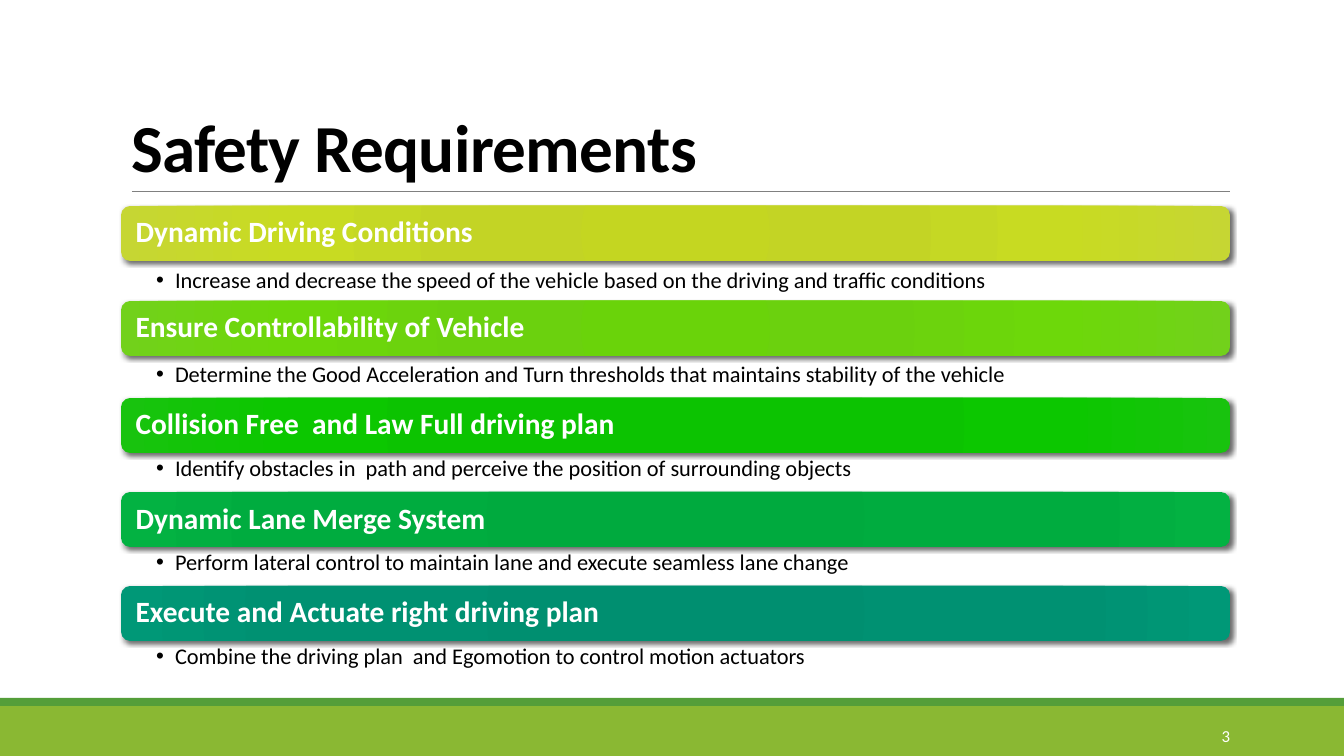
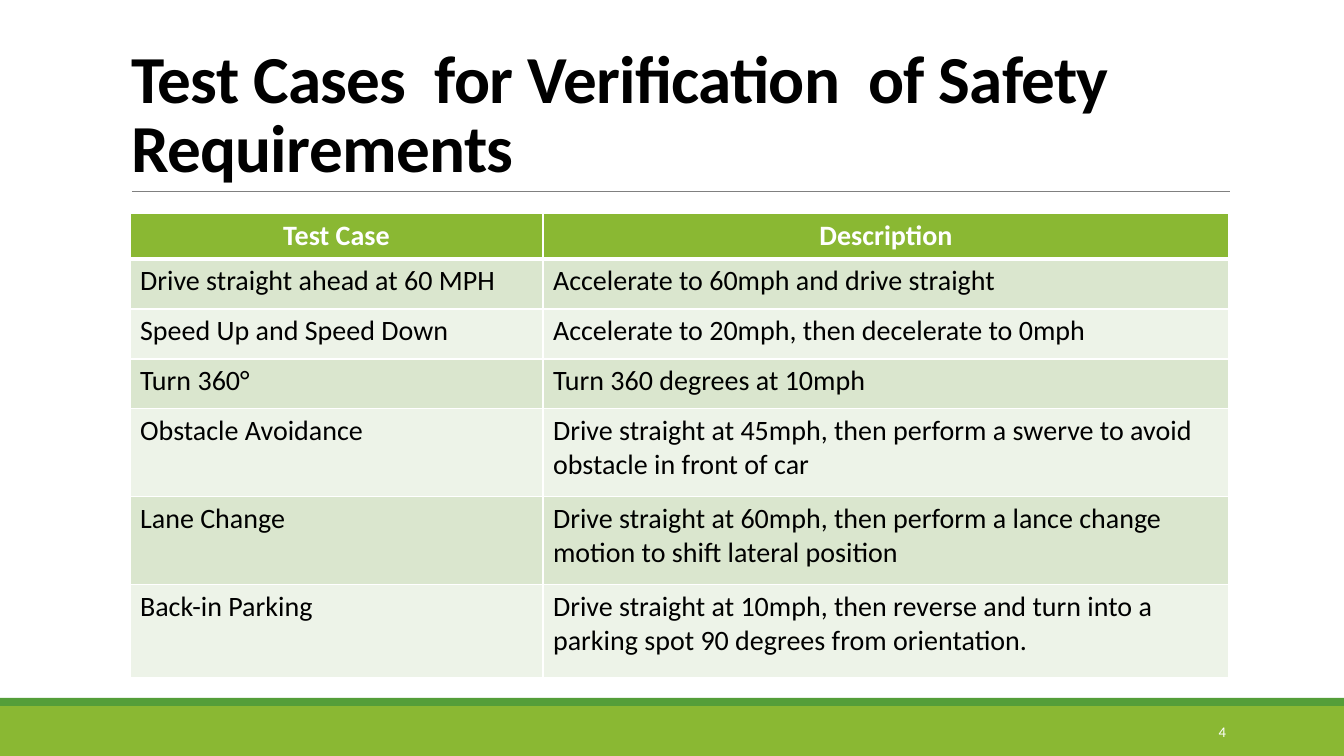
"""Build two slides on driving safety requirements and their test cases."""
import pptx
import pptx.chart.data
import pptx.dml.color
import pptx.enum.shapes
import pptx.enum.text
import pptx.oxml
import pptx.oxml.ns
import pptx.util

COLORS = {
    "black": "000000", "white": "FFFFFF", "rule": "808080",
    "lime": "8AB833", "green": "549E39",
    "row_dark": "DAE6CE", "row_light": "EDF3E8",
}
FONT = "Calibri"
WIDTH, HEIGHT = 1344, 756
SCALE = 914400 / 100.8
CONTENT_BOX = (121, 206, 1109, 475)
TABLE_BOX = (130, 213, 1099, 465)
BULLET_OFFSET, BULLET_PITCH = 60, 94
BAR_HEIGHT, BULLET_HEIGHT = 55, 38
GRADIENT_STOPS = (0, 34, 70, 100)

REQUIREMENTS = [
    (0, "Dynamic Driving Conditions",
     "Increase and decrease the speed of the vehicle based on the driving and traffic conditions",
     ("C4D621", "C3D425", "C8DB22", "C6D633")),
    (95, "Ensure Controllability of Vehicle",
     "Determine the Good Acceleration and Turn thresholds that maintains stability of the vehicle",
     ("6AD30A", "6BD10E", "6DD80A", "72D11B")),
    (192, "Collision Free  and Law Full driving plan",
     "Identify obstacles in  path and perceive the position of surrounding objects",
     ("0BC200", "0CC301", "0CC700", "18C30E")),
    (286, "Dynamic Lane Merge System",
     "Perform lateral control to maintain lane and execute seamless lane change",
     ("00A83D", "00AA3E", "00AC3F", "03B242")),
    (380, "Execute and Actuate right driving plan",
     "Combine the driving plan  and Egomotion to control motion actuators",
     ("008E6F", "008F70", "009172", "009877")),
]
TEST_CASES = [
    (46, "Test Case", "Description"),
    (50, "Drive straight ahead at 60 MPH", "Accelerate to 60mph and drive straight"),
    (50, "Speed Up and Speed Down", "Accelerate to 20mph, then decelerate to 0mph"),
    (50, "Turn 360°", "Turn 360 degrees at 10mph"),
    (88, "Obstacle Avoidance",
     "Drive straight at 45mph, then perform a swerve to avoid obstacle in front of car"),
    (88, "Lane Change",
     "Drive straight at 60mph, then perform a lance change motion to shift lateral position"),
    (93, "Back-in Parking",
     "Drive straight at 10mph, then reverse and turn into a parking spot 90 degrees from orientation."),
]

SHAPE = pptx.enum.shapes.MSO_SHAPE
ALIGN = pptx.enum.text.PP_ALIGN
ANCHOR = pptx.enum.text.MSO_ANCHOR


def px(*values):
    """Turn pixel lengths into a list of EMU."""
    return [pptx.util.Emu(round(v * SCALE)) for v in values]


def rgb(name):
    """Return the colour of a palette name."""
    return pptx.dml.color.RGBColor.from_string(COLORS[name])


def xml(body):
    """Parse a fragment whose root is in the drawing namespace."""
    tag, rest = body.split(" ", 1)
    return pptx.oxml.parse_xml(f"{tag} {pptx.oxml.ns.nsdecls('a')} {rest}")


def write(tf, text, size, color, bold=False, align=ALIGN.LEFT, spacing=None):
    """Fill a text frame with one formatted paragraph and return it."""
    tf.text = text
    tf.word_wrap = True
    p = tf.paragraphs[0]
    p.alignment = align
    p.line_spacing = spacing
    font = p.runs[0].font
    font.name, font.size, font.bold = FONT, pptx.util.Pt(size), bold
    font.color.rgb = rgb(color)
    return p


def set_insets(tf, left, top, right, bottom):
    """Set the four margins of a text frame in pixels."""
    tf.margin_left, tf.margin_top, tf.margin_right, tf.margin_bottom = px(left, top, right, bottom)


def add_frame(s, title):
    """Draw the bands, the title and the rule below it."""
    for top, height, color in ((706, 50, "lime"), (698, 8, "green")):
        band = s.shapes.add_shape(SHAPE.RECTANGLE, *px(0, top, WIDTH, height))
        band.shadow.inherit = False
        band.fill.solid()
        band.fill.fore_color.rgb = rgb(color)
        band.line.fill.background()
    rule = s.shapes.add_connector(pptx.enum.shapes.MSO_CONNECTOR.STRAIGHT, *px(132, 191, 1230, 191))
    rule.line.color.rgb = rgb("rule")
    rule.line.width = pptx.util.Pt(0.5)
    rule._element.spPr.append(xml("<a:effectLst />"))
    sp = s.shapes.title
    sp.left, sp.top, sp.width, sp.height = px(121, 31, 1109, 160)
    tf = sp.text_frame
    tf.auto_size = pptx.enum.text.MSO_AUTO_SIZE.NONE
    tf.vertical_anchor = ANCHOR.BOTTOM
    p = write(tf, title, 48, "black", True, spacing=0.85)
    p.runs[0].font._element.set("spc", "-50")


def add_page_number(s, left, top, number, size):
    """Write the page number in the lower band."""
    tf = s.shapes.add_textbox(*px(left, top, 144, 40)).text_frame
    tf.vertical_anchor = ANCHOR.MIDDLE
    write(tf, number, size, "white", align=ALIGN.RIGHT)


def add_bar(s, left, top, width, heading, shades):
    """Draw a shaded, shadowed bar with its heading."""
    bar = s.shapes.add_shape(SHAPE.ROUNDED_RECTANGLE, *px(left, top, width, BAR_HEIGHT))
    bar.line.fill.background()
    bar.shadow.inherit = False
    stops = "".join(
        f'<a:gs pos="{pos * 1000}"><a:srgbClr val="{shade}"/></a:gs>'
        for pos, shade in zip(GRADIENT_STOPS, shades))
    spPr = bar._element.spPr
    spPr.insert(2, xml(
        f'<a:gradFill rotWithShape="1"><a:gsLst>{stops}</a:gsLst><a:path path="circle">'
        '<a:fillToRect l="100000" t="100000" r="100000" b="100000"/></a:path></a:gradFill>'))
    spPr.find(pptx.oxml.ns.qn("a:effectLst")).append(xml(
        '<a:outerShdw blurRad="44450" dist="25400" dir="2700000" algn="ctr" rotWithShape="0">'
        f'<a:srgbClr val="{COLORS["black"]}"><a:alpha val="60000"/></a:srgbClr></a:outerShdw>'))
    tf = bar.text_frame
    tf.vertical_anchor = ANCHOR.MIDDLE
    set_insets(tf, 12, 9, 12, 9)
    write(tf, heading, 21, "white", True, spacing=0.9)


def add_bullet(s, left, top, width, text):
    """Write one bulleted line."""
    tf = s.shapes.add_textbox(*px(left, top, width, BULLET_HEIGHT)).text_frame
    set_insets(tf, 35, 3, 16, 3)
    p = write(tf, text, 16, "black", spacing=0.9)
    pPr = p._p.get_or_add_pPr()
    indent = px(19)[0]
    pPr.set("marL", str(indent))
    pPr.set("indent", str(-indent))
    pPr.append(xml('<a:buFont typeface="Arial"/>'))
    pPr.append(xml('<a:buChar char="•"/>'))


def add_requirements(s, box):
    """Stack the requirement bars and their bullets in a box."""
    left, top, width, _ = box
    for i, (offset, heading, text, shades) in enumerate(REQUIREMENTS):
        add_bar(s, left, top + offset, width, heading, shades)
        add_bullet(s, left, top + BULLET_OFFSET + i * BULLET_PITCH, width, text)


def style_cell(cell, fill, header):
    """Fill a cell and draw its borders."""
    cell.fill.solid()
    cell.fill.fore_color.rgb = rgb(fill)
    tcPr = cell._tc.get_or_add_tcPr()
    for i, side in enumerate("LRTB"):
        width = 38100 if header and side == "B" else 12700
        tcPr.insert(i, xml(
            f'<a:ln{side} w="{width}"><a:solidFill><a:srgbClr val="{COLORS["white"]}"/>'
            f'</a:solidFill></a:ln{side}>'))


def add_test_table(s, box):
    """Place the table of test cases in a box."""
    table = s.shapes.add_table(len(TEST_CASES), 2, *px(*box)).table
    table.columns[0].width, table.columns[1].width = px(413, box[2] - 413)
    for i, (height, *texts) in enumerate(TEST_CASES):
        table.rows[i].height = px(height)[0]
        header = i == 0
        fill = "lime" if header else "row_dark" if i % 2 else "row_light"
        for cell, text in zip(table.rows[i].cells, texts):
            style_cell(cell, fill, header)
            if header:
                cell.vertical_anchor = ANCHOR.MIDDLE
            write(cell.text_frame, text, 20, "white" if header else "black", header,
                  ALIGN.CENTER if header else ALIGN.LEFT)


def add_slide(prs, title):
    """Add a slide with the shared frame."""
    s = prs.slides.add_slide(prs.slide_layouts[5])
    add_frame(s, title)
    return s


def main():
    """Build and save the presentation."""
    prs = pptx.Presentation()
    prs.slide_width, prs.slide_height = px(WIDTH, HEIGHT)
    s = add_slide(prs, "Safety Requirements")
    add_requirements(s, CONTENT_BOX)
    add_page_number(s, 1096, 716, "3", 12)
    s = add_slide(prs, "Test Cases  for Verification  of Safety Requirements")
    add_page_number(s, 1092, 712, "4", 10.5)
    add_test_table(s, TABLE_BOX)
    prs.save("out.pptx")


if __name__ == "__main__":
    main()
